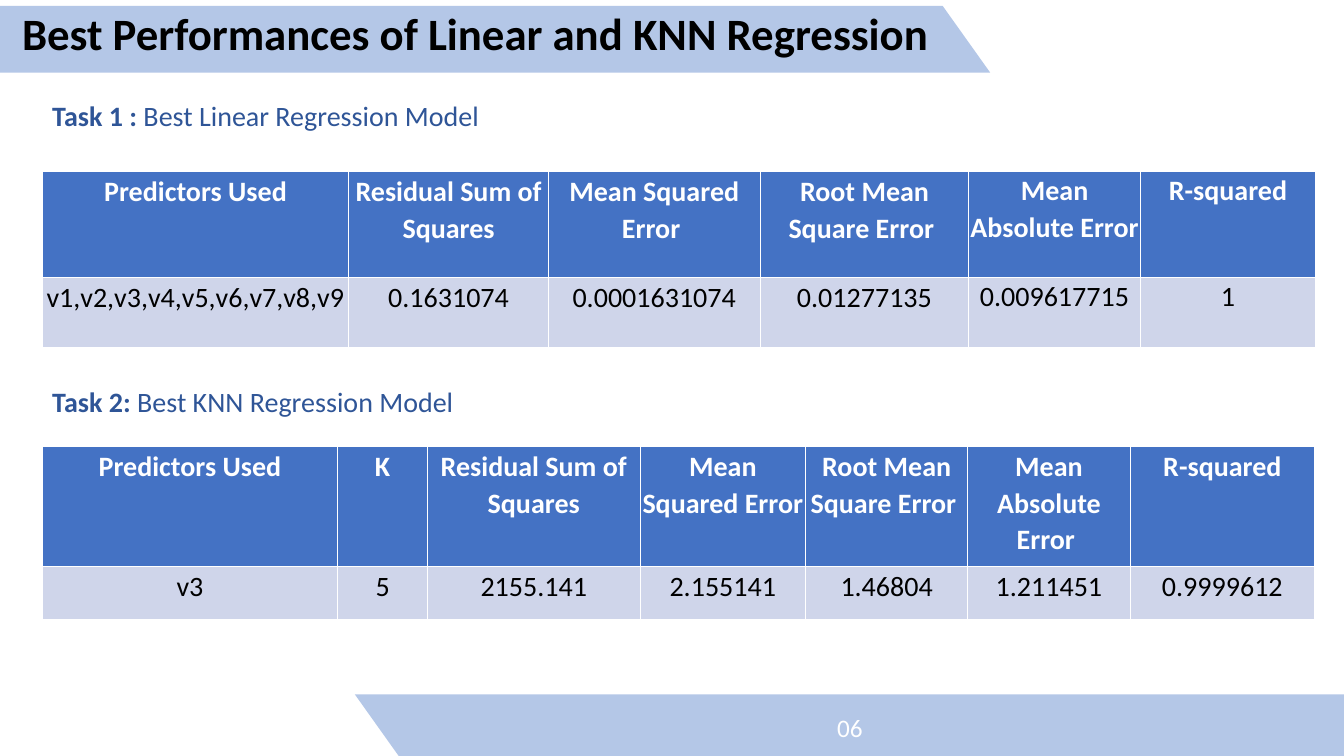
import pptx
import pptx.util
import pptx.dml.color
import pptx.enum.text
from dataclasses import dataclass

Inches = pptx.util.Inches
Pt = pptx.util.Pt
Align = pptx.enum.text.PP_ALIGN
Anchor = pptx.enum.text.MSO_ANCHOR


@dataclass(frozen=True)
class Theme:
    """Colours, font and type sizes of the slide."""
    font: str = "Calibri"
    band: str = "B4C7E7"
    head: str = "4472C4"
    body: str = "CFD5EA"
    label: str = "2F5597"
    dark: str = "000000"
    light: str = "FFFFFF"
    title: int = 32
    text: int = 20
    page: int = 18


THEME = Theme()
LINEAR = [
    ("Predictors Used", "v1,v2,v3,v4,v5,v6,v7,v8,v9", 3.04),
    ("Residual Sum of Squares", "0.1631074", 1.98),
    ("Mean Squared Error ", "0.0001631074", 2.1),
    ("Root Mean Square Error ", "0.01277135", 2.07),
    ("Mean Absolute Error ", "0.009617715", 1.7),
    ("R-squared", "1", 1.74),
]
KNN = [
    ("Predictors Used", "v3", 2.93),
    ("K", "5", 0.89),
    ("Residual Sum of Squares", "2155.141", 2.11),
    ("Mean Squared Error ", "2.155141", 1.64),
    ("Root Mean Square Error ", "1.46804", 1.61),
    ("Mean Absolute Error ", "1.211451", 1.61),
    ("R-squared", "0.9999612", 1.83),
]


def rgb(code):
    """Turn a hex code into a colour."""
    return pptx.dml.color.RGBColor.from_string(code)


def add_run(para, text, size, color, bold=False):
    """Add one styled run to a paragraph."""
    run = para.add_run()
    run.text = text
    run.font.name = THEME.font
    run.font.size = Pt(size)
    run.font.bold = bold
    run.font.color.rgb = rgb(color)


def space(para, align):
    """Give a paragraph the spacing shared by labels and cells."""
    para.alignment = align
    para.line_spacing = 1.07
    para.space_after = Pt(8)


def add_box(slide, left, top, width, height):
    """Add a wrapping text box and return its first paragraph."""
    box = slide.shapes.add_textbox(
        Inches(left), Inches(top), Inches(width), Inches(height))
    frame = box.text_frame
    frame.word_wrap = True
    frame.auto_size = pptx.enum.text.MSO_AUTO_SIZE.SHAPE_TO_FIT_TEXT
    return frame.paragraphs[0]


def add_band(slide, left, top, width, height, flip=False):
    """Draw a band with one slanted end, turned half round if flipped."""
    slant = 0.47
    points = [(0, 0), (width - slant, 0), (width, height), (0, height)]
    if flip:
        points = [(width - x, height - y) for x, y in points]
    spots = [(Inches(left + x), Inches(top + y)) for x, y in points]
    form = slide.shapes.build_freeform(*spots[0])
    form.add_line_segments(spots[1:], close=True)
    band = form.convert_to_shape()
    band.shadow.inherit = False
    band.fill.solid()
    band.fill.fore_color.rgb = rgb(THEME.band)
    band.line.fill.background()
    return band


def add_title(slide, left, top, width, height, text):
    """Place the top band with the slide title over it."""
    add_band(slide, left, top, width, height)
    para = add_box(slide, left + 0.12, top - 0.05, width, 0.64)
    add_run(para, text, THEME.title, THEME.dark, True)


def add_foot(slide, left, top, width, height, page):
    """Place the bottom band with the page number in it."""
    frame = add_band(slide, left, top, width, height, True).text_frame
    frame.vertical_anchor = Anchor.MIDDLE
    para = frame.paragraphs[0]
    para.alignment = Align.CENTER
    add_run(para, page, THEME.page, THEME.light)


def add_label(slide, left, top, width, height, task, model):
    """Place a task label with its bold lead."""
    para = add_box(slide, left, top, width, height)
    space(para, Align.JUSTIFY)
    add_run(para, task, THEME.text, THEME.label, True)
    add_run(para, model, THEME.text, THEME.label)


def fill_cell(cell, text, fill, color, bold):
    """Set the fill, margins and text of one cell."""
    cell.fill.solid()
    cell.fill.fore_color.rgb = rgb(fill)
    cell.margin_left = cell.margin_right = cell.margin_top = Inches(0.01)
    cell.margin_bottom = 0
    para = cell.text_frame.paragraphs[0]
    space(para, Align.CENTER)
    add_run(para, text, THEME.text, color, bold)


def add_scores(slide, left, top, width, rows, cols):
    """Place a table with a header row and a row of scores."""
    table = slide.shapes.add_table(
        len(rows), len(cols), Inches(left), Inches(top),
        Inches(width), Inches(sum(rows))).table
    for row, height in zip(table.rows, rows):
        row.height = Inches(height)
    for i, (name, score, wide) in enumerate(cols):
        table.columns[i].width = Inches(wide)
        fill_cell(table.cell(0, i), name, THEME.head, THEME.light, True)
        fill_cell(table.cell(1, i), score, THEME.body, THEME.dark, False)
    if cols is LINEAR:
        for row in range(len(rows)):
            for col in (4, 5):
                cell = table.cell(row, col)
                cell.margin_left = cell.margin_right = cell.margin_top = 0


def main():
    """Build the slide and save it."""
    deck = pptx.Presentation()
    deck.slide_width = Inches(13.33)
    deck.slide_height = Inches(7.5)
    slide = deck.slides.add_slide(deck.slide_layouts[6])
    add_title(slide, 0, 0.06, 9.82, 0.66,
              "Best Performances of Linear and KNN Regression")
    add_foot(slide, 3.52, 6.89, 9.82, 0.66, "06")
    left, width = 0.42, 12.63
    add_label(slide, left, 0.9, width, 0.45,
              "Task 1 :", " Best Linear Regression Model")
    add_scores(slide, left, 1.7, width, (1.05, 0.7), LINEAR)
    add_label(slide, left, 3.74, 11.37, 0.45,
              "Task 2: ", "Best KNN Regression Model")
    add_scores(slide, left, 4.43, width, (1.19, 0.53), KNN)
    deck.save("out.pptx")


if __name__ == "__main__":
    main()
